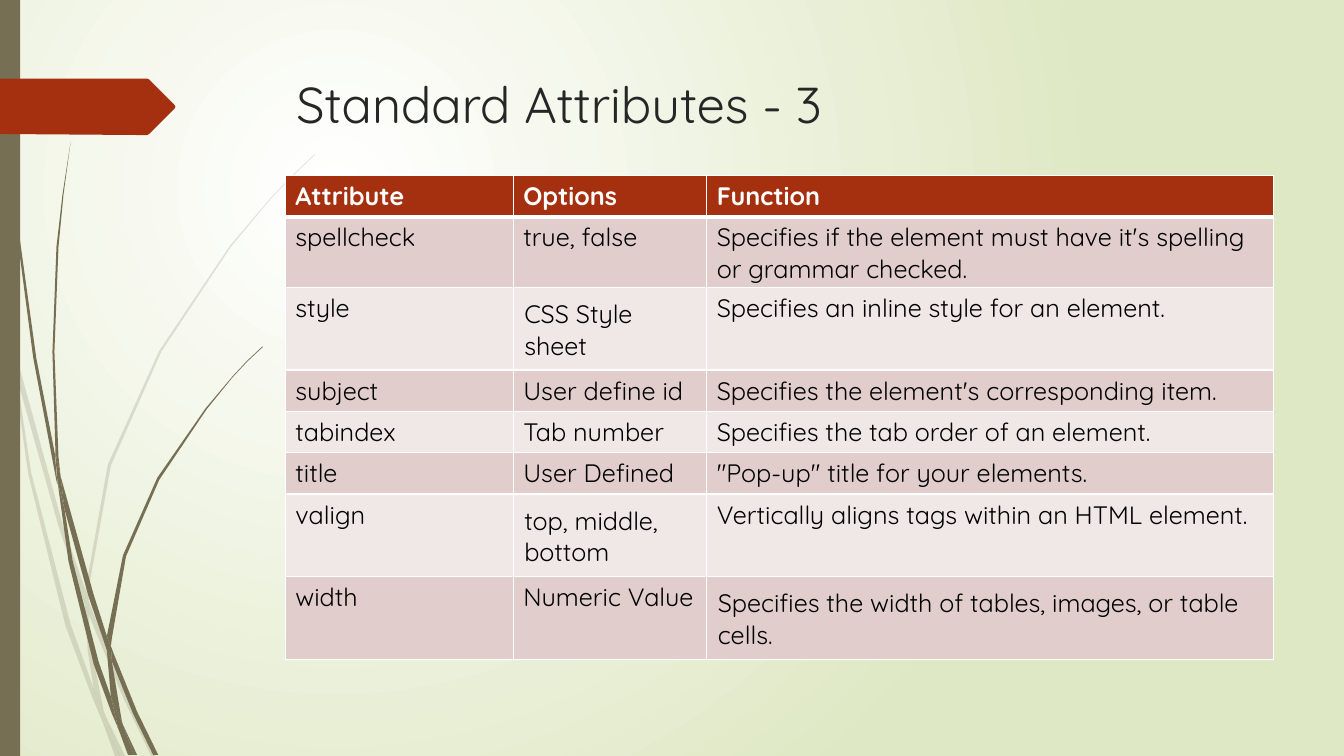
import dataclasses
import typing

import pptx
import pptx.dml.color
import pptx.enum.shapes
import pptx.oxml
import pptx.oxml.ns
import pptx.shapes.base
import pptx.slide
import pptx.table
import pptx.util

PX = 9144  # EMU per px, 100 px to the inch
FONT = "Quicksand"
OLIVE, RUST, WHITE, INK, BLACK = "766F54", "A53010", "FFFFFF", "262626", "000000"
BANDS = ("E1CDCC", "F0E8E7")
ROW_H = 41
COL_W = (226, 192, 562)

Points = tuple[tuple[int, int], ...]


@dataclasses.dataclass(frozen=True)
class Wisp:
    """Blades of grass that share one opacity."""
    opacity: int
    blades: tuple[Points, ...]


class Row(typing.NamedTuple):
    attribute: str
    options: str
    function: str
    padded: int = -1  # column with wide margins


PALE_WISP = Wisp(20, (
    ((11, 350), (9, 322), (0, 282), (0, 299), (10, 344)),
    ((58, 522), (84, 599), (85, 586), (62, 520), (14, 345), (17, 376)),
    ((92, 607), (88, 596), (88, 610), (123, 694), (150, 750), (155, 750), (127, 692)),
    ((119, 750), (124, 750), (105, 711)),
    ((93, 683), (70, 619), (31, 469), (17, 376), (11, 350), (28, 470), (65, 621),
     (92, 693), (101, 714), (99, 707)),
    ((84, 599), (87, 646), (93, 683), (96, 692), (105, 711), (103, 706), (91, 646),
     (88, 610), (88, 608)),
    ((88, 584), (110, 462), (160, 349), (229, 245), (268, 198), (290, 175), (312, 154),
     (312, 153), (289, 175), (268, 197), (228, 244), (158, 348), (107, 461), (85, 584),
     (85, 586), (88, 596)),
    ((101, 714), (114, 750), (119, 750)),
    ((88, 608), (88, 610), (88, 596), (85, 586), (84, 599)),
    ((96, 692), (93, 683), (99, 707), (101, 714), (119, 750), (105, 711)),
))
DARK_WISP = Wisp(100, (
    ((7, 110), (17, 233), (33, 355), (56, 477), (57, 481), (55, 457), (55, 453),
     (36, 355), (19, 232), (8, 109), (5, 48), (4, 0), (3, 0), (4, 48)),
    ((88, 592), (106, 645), (106, 633), (106, 631), (93, 590), (60, 472), (64, 505)),
    ((113, 649), (110, 641), (111, 656), (132, 708), (152, 749), (157, 749), (136, 706)),
    ((110, 691), (98, 657), (72, 556), (64, 505), (57, 477), (68, 557), (93, 659),
     (111, 708), (117, 722), (116, 717)),
    ((60, 472), (58, 453), (54, 349), (58, 245), (63, 193), (70, 141), (62, 193),
     (56, 245), (52, 349), (55, 449)),
    ((133, 749), (136, 749), (122, 719)),
    ((57, 477), (64, 505), (60, 472), (55, 449), (55, 453)),
    ((111, 633), (125, 552), (158, 476), (205, 406), (231, 374), (245, 359), (261, 344),
     (260, 344), (245, 358), (231, 373), (204, 405), (156, 474), (122, 551), (106, 631),
     (110, 641)),
    ((117, 722), (127, 749), (131, 749)),
    ((106, 645), (110, 691), (116, 706), (122, 719), (121, 716), (111, 656), (109, 651)),
    ((106, 645), (109, 651), (111, 656), (110, 641), (106, 631), (106, 633)),
    ((116, 706), (110, 691), (116, 717), (117, 722), (130, 749), (133, 749), (122, 719)),
))
TAB: Points = ((173, 108), (148, 133), (146, 134), (136, 134), (0, 133), (0, 78),
               (146, 78), (148, 79), (173, 104), (174, 106))

ROWS = (
    Row("Attribute", "Options", "Function"),
    Row("spellcheck", "true, false",
        "Specifies if the element must have it's spelling or grammar checked."),
    Row("style", "CSS Style sheet", "Specifies an inline style for an element.", 1),
    Row("subject", "User define id", "Specifies the element's corresponding item."),
    Row("tabindex", "Tab number", "Specifies the tab order of an element."),
    Row("title", "User Defined", '"Pop-up" title for your elements.'),
    Row("valign", "top, middle, bottom", "Vertically aligns tags within an HTML element.", 1),
    Row("width", "Numeric Value", "Specifies the width of tables, images, or table cells.", 2),
)


def px(n: int) -> pptx.util.Emu:
    return pptx.util.Emu(n * PX)


def rgb(color: str) -> pptx.dml.color.RGBColor:
    return pptx.dml.color.RGBColor.from_string(color)


def paint(sp: pptx.shapes.base.BaseShape, color: str, opacity: int = 100) -> None:
    sp.shadow.inherit = False
    sp.fill.solid()
    sp.fill.fore_color.rgb = rgb(color)
    sp.line.fill.background()
    if opacity < 100:
        clr = sp.element.spPr.find(".//" + pptx.oxml.ns.qn("a:srgbClr"))
        clr.append(pptx.oxml.parse_xml(
            f'<a:alpha {pptx.oxml.ns.nsdecls("a")} val="{opacity * 1000}"/>'))


def add_outline(shapes: typing.Any, points: Points, color: str, opacity: int = 100) -> None:
    fb = shapes.build_freeform(*points[0], scale=PX)
    fb.add_line_segments(points[1:], close=True)
    paint(fb.convert_to_shape(), color, opacity)


def add_wisp(s: pptx.slide.Slide, wisp: Wisp) -> None:
    group = s.shapes.add_group_shape()
    for blade in wisp.blades:
        add_outline(group.shapes, blade, OLIVE, wisp.opacity)


def set_background(s: pptx.slide.Slide) -> None:
    s.background.fill.gradient()
    grad = s.element.find(".//" + pptx.oxml.ns.qn("a:gradFill"))
    grad.getparent().replace(grad, pptx.oxml.parse_xml(
        f'<a:gradFill {pptx.oxml.ns.nsdecls("a")} rotWithShape="1"><a:gsLst>'
        '<a:gs pos="0"><a:srgbClr val="FFFFFF"/></a:gs>'
        '<a:gs pos="100000"><a:srgbClr val="DFE8C4"/></a:gs></a:gsLst>'
        '<a:path path="circle"><a:fillToRect l="50000" t="50000" r="100000" b="100000"/>'
        '</a:path></a:gradFill>'))


def style_text(tf: typing.Any, size: int, color: str, bold: bool = False) -> None:
    font = tf.paragraphs[0].runs[0].font
    font.name, font.size, font.bold = FONT, pptx.util.Pt(size), bold
    font.color.rgb = rgb(color)


def set_borders(cell: pptx.table._Cell, top: int, bottom: int) -> None:
    tc_pr = cell._tc.get_or_add_tcPr()
    widths = {"lnL": 1, "lnR": 1, "lnT": top, "lnB": bottom}
    for i, (side, width) in enumerate(widths.items()):
        tc_pr.insert(i, pptx.oxml.parse_xml(
            f'<a:{side} {pptx.oxml.ns.nsdecls("a")} w="{pptx.util.Pt(width)}">'
            f'<a:solidFill><a:srgbClr val="{WHITE}"/></a:solidFill></a:{side}>'))


def add_attribute_table(s: pptx.slide.Slide) -> None:
    table = s.shapes.add_table(len(ROWS), len(COL_W), px(283), px(174),
                               px(sum(COL_W)), px(ROW_H * len(ROWS))).table
    table.horz_banding = False
    for column, width in zip(table.columns, COL_W):
        column.width = px(width)
    for i, row in enumerate(ROWS):
        header = i == 0
        for j, text in enumerate(row[:3]):
            cell = table.cell(i, j)
            cell.text_frame.text = text
            style_text(cell.text_frame, 18, WHITE if header else BLACK, header)
            cell.fill.solid()
            cell.fill.fore_color.rgb = rgb(RUST if header else BANDS[(i - 1) % 2])
            if j == row.padded:
                cell.margin_left = cell.margin_right = px(11)
                cell.margin_top = cell.margin_bottom = px(11)
            set_borders(cell, 3 if i == 1 else 1, 3 if header else 1)


def main() -> None:
    prs = pptx.Presentation()
    prs.slide_width, prs.slide_height = px(1333), px(750)
    s = prs.slides.add_slide(prs.slide_layouts[6])
    set_background(s)
    # Grass, side bar and tab
    add_wisp(s, PALE_WISP)
    add_wisp(s, DARK_WISP)
    bar = s.shapes.add_shape(pptx.enum.shapes.MSO_SHAPE.RECTANGLE, 0, 0, px(20), px(750))
    paint(bar, OLIVE)
    add_outline(s.shapes, TAB, RUST)
    # Title
    tf = s.shapes.add_textbox(px(284), px(68), px(975), px(140)).text_frame
    tf.word_wrap = True
    tf.text = "Standard Attributes - 3"
    style_text(tf, 36, INK)
    # Table
    add_attribute_table(s)
    prs.save("out.pptx")


if __name__ == "__main__":
    main()
